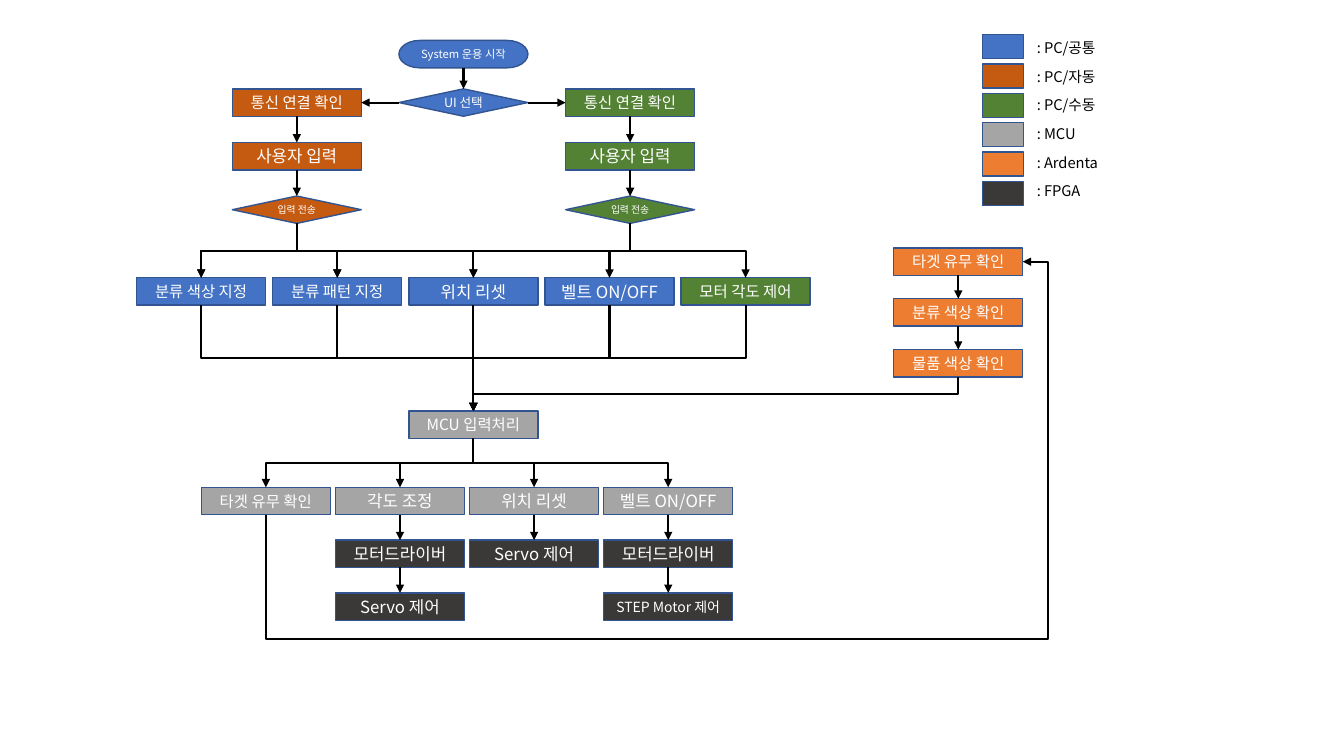
from lxml.etree import SubElement
from pptx import Presentation
from pptx.dml.color import RGBColor
from pptx.enum.shapes import MSO_CONNECTOR, MSO_SHAPE
from pptx.enum.text import MSO_ANCHOR, PP_ALIGN
from pptx.oxml.ns import qn
from pptx.util import Cm, Pt

FONT = "Noto Sans CJK KR"
HEX = {
    "common": "4472C4", "auto": "C55A11", "manual": "548235",
    "mcu": "A5A5A5", "board": "ED7D31", "fpga": "3B3838",
    "edge": "325491", "ink": "000000", "white": "FFFFFF",
}
WIDE, HIGH = 3.25, 0.69
STEP = MSO_SHAPE.FLOWCHART_PROCESS
CHOICE = MSO_SHAPE.FLOWCHART_DECISION
START = MSO_SHAPE.FLOWCHART_TERMINATOR


def color(name):
    """Return the named colour."""
    return RGBColor.from_string(HEX[name])


def write(frame, text, size=11, ink="white", align=PP_ALIGN.CENTER):
    """Put one formatted line of text in a frame."""
    frame.word_wrap = True
    para = frame.paragraphs[0]
    para.alignment = align
    run = para.add_run()
    run.text = text
    run.font.size = Pt(size)
    run.font.name = FONT
    run.font.color.rgb = color(ink)
    SubElement(run.font._element, qn("a:ea"), typeface=FONT)


def block(slide, kind, left, top, wide, high, fill):
    """Draw a filled shape with a thin edge."""
    shape = slide.shapes.add_shape(kind, Cm(left), Cm(top), Cm(wide), Cm(high))
    shape.shadow.inherit = False
    shape.fill.solid()
    shape.fill.fore_color.rgb = color(fill)
    shape.line.color.rgb = color("edge")
    shape.line.width = Pt(1)
    return shape


def node(slide, mid, top, text, fill, size=11, kind=STEP):
    """Draw a flow step centred on mid."""
    shape = block(slide, kind, mid - WIDE / 2, top, WIDE, HIGH, fill)
    frame = shape.text_frame
    frame.margin_left = frame.margin_right = 0
    frame.margin_top = frame.margin_bottom = 0
    frame.vertical_anchor = MSO_ANCHOR.MIDDLE
    write(frame, text, size=size)


def arrow(slide, x1, y1, x2, y2, kind=MSO_CONNECTOR.STRAIGHT):
    """Draw a black connector with an arrowhead at its end."""
    line = slide.shapes.add_connector(kind, Cm(x1), Cm(y1), Cm(x2), Cm(y2))
    line.line.color.rgb = color("ink")
    line.line.width = Pt(1.5)
    SubElement(line.line._get_or_add_ln(), qn("a:tailEnd"), type="triangle")
    SubElement(line._element.spPr, qn("a:effectLst"))
    return line


def elbow(slide, x1, y1, x2, y2):
    """Draw a bent arrow that leaves its start vertically."""
    if x1 == x2:
        return arrow(slide, x1, y1, x2, y2)
    midx, midy = (x1 + x2) / 2, (y1 + y2) / 2
    dx, dy = (x2 - x1) / 2, (y2 - y1) / 2
    # A quarter turn makes the horizontal elbow run downwards
    line = arrow(slide, midx - dy, midy + dx, midx + dy, midy - dx,
                 MSO_CONNECTOR.ELBOW)
    line._element.spPr.find(qn("a:xfrm")).set("rot", "5400000")
    return line


def loop(slide, x1, y1, x2, y2, low, far):
    """Draw the return arrow, down to low and out to far."""
    geom = elbow(slide, x1, y1, x2, y2)._element.spPr.find(qn("a:prstGeom"))
    geom.set("prst", "bentConnector4")
    bends = (low - y1) / (y2 - y1), (far - x1) / (x2 - x1)
    for num, bend in enumerate(bends, 1):
        SubElement(geom.find(qn("a:avLst")), qn("a:gd"), name=f"adj{num}",
                   fmla=f"val {round(bend * 100000)}")


def chain(slide, mid, top, pitch, steps):
    """Stack steps downwards with an arrow between each pair."""
    for row, step in enumerate(steps):
        y = top + row * pitch
        node(slide, mid, y, *step)
        if row:
            arrow(slide, mid, y - pitch + HIGH, mid, y)


def legend(slide):
    """Draw the colour key."""
    names = {"common": "PC/공통", "auto": "PC/자동", "manual": "PC/수동",
             "mcu": "MCU", "board": "Ardenta", "fpga": "FPGA"}
    for row, (fill, name) in enumerate(names.items()):
        block(slide, STEP, 24.76, 0.87 + row * 0.74, 1.03, 0.61, fill)
        label = slide.shapes.add_textbox(
            Cm(25.88), Cm(0.86 + row * 0.72), Cm(2.92), Cm(0.7))
        write(label.text_frame, f": {name}", size=10.5, ink="ink",
              align=PP_ALIGN.LEFT)


def main():
    """Build the flow chart slide."""
    deck = Presentation()
    deck.slide_width, deck.slide_height = Cm(33.87), Cm(19.05)
    slide = deck.slides.add_slide(deck.slide_layouts[6])

    # Start and choice of interface
    left, mid, right = (7.48 + col * 4.2 for col in range(3))
    top, pitch = 2.24, 1.35
    chain(slide, mid, 1.02, top - 1.02, [
        ("System 운용 시작", "common", 8, START),
        ("UI 선택", "common", 9, CHOICE)])
    for side, fill in ((left, "auto"), (right, "manual")):
        chain(slide, side, top, pitch, [
            ("통신 연결 확인", fill), ("사용자 입력", fill, 12),
            ("입력 전송", fill, 7, CHOICE)])
        out = WIDE / 2 if side > mid else -WIDE / 2
        arrow(slide, mid + out, top + HIGH / 2, side - out, top + HIGH / 2)

    # Commands sent to the MCU
    tasks = [("분류 색상 지정", "common"), ("분류 패턴 지정", "common"),
             ("위치 리셋", "common", 12), ("벨트 ON/OFF", "common", 12),
             ("모터 각도 제어", "manual")]
    cols = [5.07 + col * 3.43 for col in range(len(tasks))]
    sent, task, hub, hubtop = top + 2 * pitch + HIGH, 7.0, cols[2], 10.36
    for col, step in zip(cols, tasks):
        node(slide, col, task, *step)
        elbow(slide, right, sent, col, task)
        elbow(slide, col, task + HIGH, hub, hubtop)
    for col in cols[:3]:
        elbow(slide, left, sent, col, task)
    node(slide, hub, hubtop, "MCU 입력처리", "mcu")

    # Sensor board
    board, first, gap = 24.15, 6.25, 1.28
    chain(slide, board, first, gap, [
        ("타겟 유무 확인", "board"), ("분류 색상 확인", "board"),
        ("물품 색상 확인", "board")])
    elbow(slide, board, first + 2 * gap + HIGH, hub, hubtop)

    # Actions of the MCU and the FPGA
    acts = [
        [("타겟 유무 확인", "mcu")],
        [("각도 조정", "mcu", 12), ("모터드라이버", "fpga", 12),
         ("Servo 제어", "fpga", 12)],
        [("위치 리셋", "mcu", 12), ("Servo 제어", "fpga", 12)],
        [("벨트 ON/OFF", "mcu", 12), ("모터드라이버", "fpga", 12),
         ("STEP Motor 제어", "fpga", 10)]]
    base, act = 6.7, 12.28
    for num, steps in enumerate(acts):
        col = base + num * 3.38
        chain(slide, col, act, 1.33, steps)
        elbow(slide, hub, hubtop + HIGH, col, act)
    loop(slide, base, act + HIGH, board + WIDE / 2, first + HIGH / 2,
         low=16.1, far=26.4)

    legend(slide)
    deck.save("out.pptx")


main()
